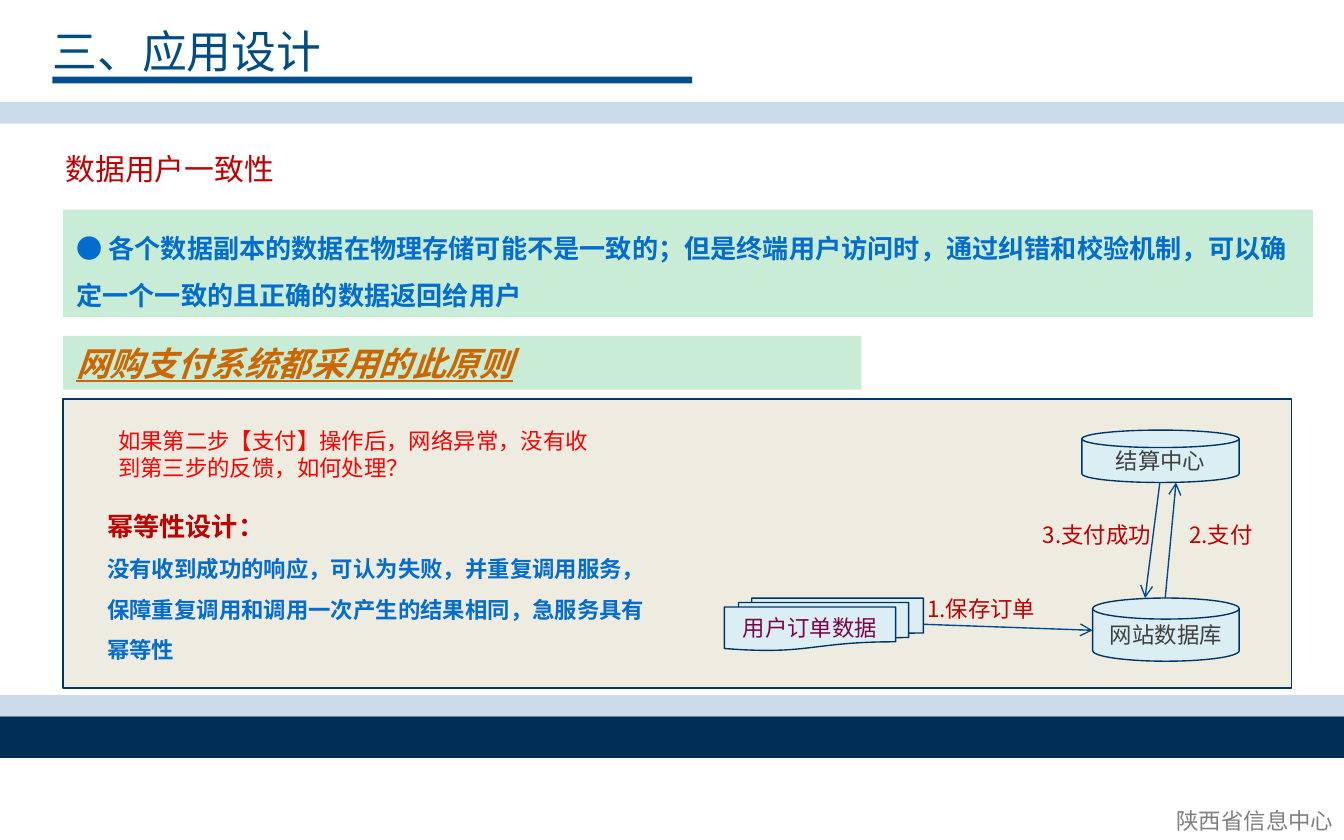
"""Build the slide on application design and user data consistency."""
from dataclasses import dataclass
from typing import Optional

from lxml.etree import SubElement
from pptx import Presentation
from pptx.dml.color import RGBColor
from pptx.enum.shapes import MSO_CONNECTOR, MSO_SHAPE as Preset
from pptx.enum.text import MSO_ANCHOR as Anchor, MSO_AUTO_SIZE as AutoSize, PP_ALIGN as Align
from pptx.oxml.ns import qn
from pptx.util import Inches, Pt

COLORS = {
    "navy": "012E57", "rule": "014C8D", "title": "014C83", "pale": "CCDBE9",
    "mint": "C8ECD6", "panel": "EEECE1", "outline": "003566", "node": "DBEEF4",
    "arrow": "004A8D", "red": "C00000", "bright": "FF0000", "blue": "026DCE",
    "orange": "CC6600", "plum": "7C0449", "dark": "404040", "gray": "7F7F7F",
}
CJK = "Noto Sans CJK SC"
LATIN = "Calibri"


@dataclass
class Line:
    text: str
    size: float
    color: str
    font: str = LATIN
    bold: bool = False
    italic: bool = False
    underline: bool = False
    spacing: float = 1.0
    align: Align = Align.LEFT


@dataclass
class Box:
    left: float
    top: float
    width: float
    height: float
    lines: tuple = ()
    fill: Optional[str] = None
    outline: float = 0
    preset: Preset = Preset.RECTANGLE
    anchor: Anchor = Anchor.TOP
    wrap: bool = True


@dataclass
class Arrow:
    start: tuple
    end: tuple


def rgb(name: str) -> RGBColor:
    return RGBColor.from_string(COLORS[name])


def write_lines(shape, box: Box) -> None:
    frame = shape.text_frame
    frame.word_wrap = box.wrap
    frame.auto_size = AutoSize.NONE
    frame.vertical_anchor = box.anchor
    for index, line in enumerate(box.lines):
        paragraph = frame.paragraphs[0] if index == 0 else frame.add_paragraph()
        paragraph.text = line.text
        paragraph.alignment = line.align
        paragraph.line_spacing = line.spacing
        font = paragraph.font
        font.size, font.name = Pt(line.size), line.font
        font.bold, font.italic, font.underline = line.bold, line.italic, line.underline
        font.color.rgb = rgb(line.color)
        properties = paragraph._p.pPr.find(qn("a:defRPr"))
        SubElement(properties, qn("a:ea")).set("typeface", CJK)


def draw_box(slide, box: Box):
    area = [Inches(value) for value in (box.left, box.top, box.width, box.height)]
    if box.fill:
        shape = slide.shapes.add_shape(box.preset, *area)
        shape.shadow.inherit = False
        shape.fill.solid()
        shape.fill.fore_color.rgb = rgb(box.fill)
        if box.outline:
            shape.line.color.rgb = rgb("outline")
            shape.line.width = Pt(box.outline)
        else:
            shape.line.fill.background()
    else:
        shape = slide.shapes.add_textbox(*area)
    if box.lines:
        write_lines(shape, box)
    return shape


def draw_title(slide, box: Box) -> None:
    title = slide.shapes.title
    title.left, title.top = Inches(box.left), Inches(box.top)
    title.width, title.height = Inches(box.width), Inches(box.height)
    write_lines(title, box)


def draw_arrow(slide, arrow: Arrow):
    points = [Inches(value) for value in (*arrow.start, *arrow.end)]
    connector = slide.shapes.add_connector(MSO_CONNECTOR.STRAIGHT, *points)
    connector.line.color.rgb = rgb("arrow")
    connector.line.width = Pt(0.75)
    SubElement(connector.line._get_or_add_ln(), qn("a:tailEnd")).set("type", "arrow")
    SubElement(connector._element.spPr, qn("a:effectLst"))
    return connector


def node(left: float, top: float, width: float, height: float, text: str,
         color: str = "dark", preset: Preset = Preset.FLOWCHART_MAGNETIC_DISK) -> Box:
    line = Line(text, 12, color, align=Align.CENTER)
    return Box(left, top, width, height, (line,), "node", 0.75, preset, Anchor.MIDDLE)


def step(left: float, top: float, text: str) -> Box:
    return Box(left, top, 1.25, 0.3, (Line(text, 12, "red", CJK),))


TITLE = Box(0.29, 0.13, 2.6, 0.5, (Line("三、应用设计", 24, "title", CJK),))
FRAME = (
    Box(0, 5.33, 10, 0.31, fill="navy"),
    Box(0.39, 0.57, 4.76, 0.05, fill="rule"),
    Box(8.66, 5.96, 1.36, 0.3,
        (Line("陕西省信息中心", 12, "gray", CJK, align=Align.RIGHT),), wrap=False),
    Box(0, 5.17, 10, 0.16, fill="pale"),
    Box(0, 0.76, 10, 0.16, fill="pale"),
)
CONTENT = (
    Box(0.39, 0.94, 5.55, 0.5, (Line("数据用户一致性", 16, "red", spacing=1.5),)),
    Box(0.47, 1.56, 9.3, 0.8, (Line(
        "● 各个数据副本的数据在物理存储可能不是一致的；但是终端用户访问时，"
        "通过纠错和校验机制，可以确定一个一致的且正确的数据返回给用户",
        14, "blue", CJK, bold=True, spacing=1.5),), "mint"),
    Box(0.47, 2.5, 5.94, 0.4, (Line(
        "网购支付系统都采用的此原则", 18, "orange",
        bold=True, italic=True, underline=True),), "mint"),
    Box(0.47, 2.97, 9.14, 2.15, fill="panel", outline=1),
)
ORDERS = node(5.39, 4.45, 1.48, 0.39, "用户订单数据", "plum", Preset.FLOWCHART_MULTIDOCUMENT)
DATABASES = (
    node(8.05, 3.2, 1.17, 0.39, "结算中心"),
    node(8.13, 4.45, 1.09, 0.47, "网站数据库"),
)
SAVE = Arrow((6.87, 4.65), (8.13, 4.69))
PAYMENTS = (Arrow((8.67, 4.45), (8.75, 3.59)), Arrow((8.63, 3.59), (8.52, 4.45)))
NOTES = (
    step(6.8, 4.38, "1.保存订单"),
    step(8.75, 3.83, "2.支付"),
    step(7.66, 3.83, "3.支付成功"),
    Box(0.78, 3.13, 3.75, 0.5, (Line(
        "如果第二步【支付】操作后，网络异常，没有收到第三步的反馈，如何处理？",
        12, "bright"),)),
    Box(0.7, 3.75, 4.3, 1.24, (
        Line("幂等性设计：", 14, "red", bold=True),
        Line("没有收到成功的响应，可认为失败，并重复调用服务，"
             "保障重复调用和调用一次产生的结果相同，急服务具有幂等性",
             12, "blue", bold=True, spacing=1.5))),
)


def main() -> None:
    presentation = Presentation()
    presentation.slide_width, presentation.slide_height = Inches(10), Inches(6.25)
    slide = presentation.slides.add_slide(presentation.slide_layouts[5])
    draw_title(slide, TITLE)
    for box in FRAME + CONTENT:
        draw_box(slide, box)
    orders = draw_box(slide, ORDERS)
    for box in DATABASES:
        draw_box(slide, box)
    draw_arrow(slide, SAVE).begin_connect(orders, 3)
    for arrow in PAYMENTS:
        draw_arrow(slide, arrow)
    for box in NOTES:
        draw_box(slide, box)
    presentation.save("out.pptx")


if __name__ == "__main__":
    main()
